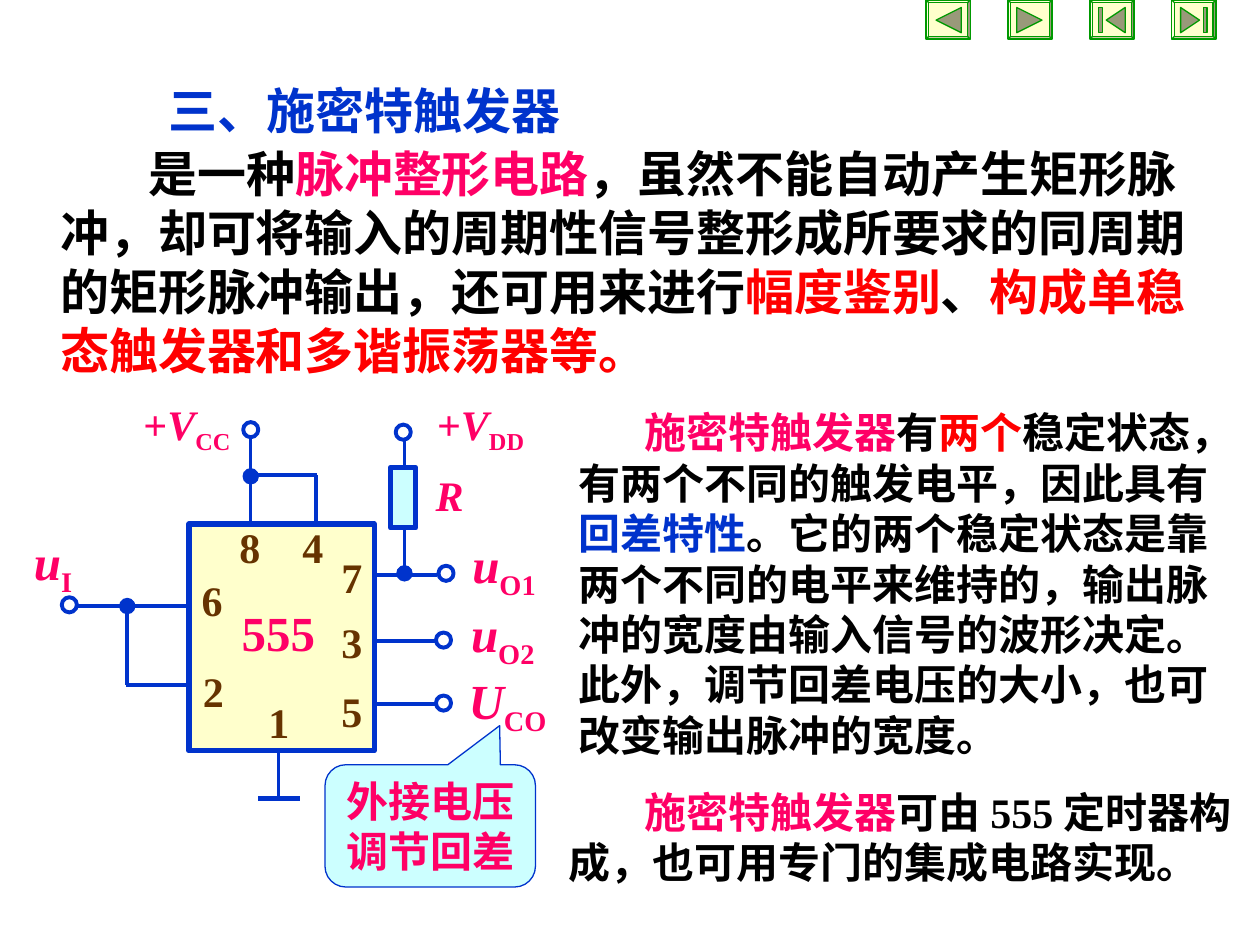
from dataclasses import dataclass

from lxml import etree
from pptx import Presentation
from pptx.dml.color import RGBColor
from pptx.enum.shapes import MSO_CONNECTOR, MSO_SHAPE
from pptx.enum.text import MSO_ANCHOR, PP_ALIGN
from pptx.oxml.ns import qn
from pptx.util import Inches, Pt

STRAIGHT = MSO_CONNECTOR.STRAIGHT
RECT, OVAL, BEVEL = MSO_SHAPE.RECTANGLE, MSO_SHAPE.OVAL, MSO_SHAPE.BEVEL
CALLOUT = MSO_SHAPE.ROUNDED_RECTANGULAR_CALLOUT
LEFT, CENTER = PP_ALIGN.LEFT, PP_ALIGN.CENTER
TOP, MIDDLE = MSO_ANCHOR.TOP, MSO_ANCHOR.MIDDLE


@dataclass(frozen=True)
class Theme:
    font: str = "Times New Roman"
    large: int = 28
    body: int = 24
    black: str = "000000"
    white: str = "FFFFFF"
    blue: str = "0033CC"
    pink: str = "FF0066"
    red: str = "FF0000"
    brown: str = "663300"
    cream: str = "FFFFCC"
    aqua: str = "CCFFFF"
    green: str = "009900"
    icon: str = "99997A"


THEME = Theme()


def write(frame, paragraphs, size=THEME.body, color=THEME.black, indent=0,
          align=LEFT, anchor=TOP, wrap=True, inset=True):
    """Fill a frame; each run is (text, color) or (text, color, 'i' or 'sub')."""
    frame.word_wrap = wrap
    frame.vertical_anchor = anchor
    if not inset:
        frame.margin_left = frame.margin_right = 0
        frame.margin_top = frame.margin_bottom = 0
    for number, runs in enumerate(paragraphs):
        paragraph = frame.add_paragraph() if number else frame.paragraphs[0]
        paragraph.alignment = align
        if indent and number == 0:
            paragraph._p.get_or_add_pPr().set("indent", str(Inches(indent)))
        for words, run_color, *style in runs:
            run = paragraph.add_run()
            run.text = words
            run.font.name = THEME.font
            run.font.size = Pt(size)
            run.font.bold = True
            run.font.italic = "i" in style
            run.font.color.rgb = RGBColor.from_string(run_color or color)
            if "sub" in style:
                run._r.get_or_add_rPr().set("baseline", "-25000")


def add_text(slide, box, paragraphs, **style):
    holder = slide.shapes.add_textbox(*map(Inches, box))
    write(holder.text_frame, paragraphs, **style)


def paint(shape, fill, line, width):
    shape.shadow.inherit = False
    shape.fill.solid()
    shape.fill.fore_color.rgb = RGBColor.from_string(fill)
    shape.line.color.rgb = RGBColor.from_string(line)
    shape.line.width = Pt(width)


def add_shape(slide, kind, box, fill, line=THEME.blue, width=0.75):
    shape = slide.shapes.add_shape(kind, *map(Inches, box))
    paint(shape, fill, line, width)
    return shape


def add_wire(slide, start, end, width=2.25):
    wire = slide.shapes.add_connector(STRAIGHT, *map(Inches, (*start, *end)))
    wire.line.color.rgb = RGBColor.from_string(THEME.blue)
    wire.line.width = Pt(width)
    etree.SubElement(wire._element.spPr, qn("a:effectLst"))


def add_circuit(slide, left, top):
    def at(x, y):
        return left + x, top + y

    output_rows = (1.46, 1.99, 2.49)
    wires = [
        ((1.89, 1.06), (1.89, 0.37), 2), ((2.41, 0.67), (2.41, 1.05), 2),
        ((1.89, 0.67), (2.42, 0.67), 2.25), ((1.95, 3.24), (2.28, 3.24), 3),
        ((2.11, 2.84), (2.11, 3.25), 2), ((0.47, 1.71), (1.42, 1.71), 2.25),
        ((0.91, 1.74), (0.91, 2.34), 2.25), ((0.9, 2.34), (1.4, 2.34), 2.25),
        ((3.11, 0.35), (3.11, 1.46), 2),
    ] + [((2.87, y), (3.37, y), 2.25) for y in output_rows]
    for start, end, width in wires:
        add_wire(slide, at(*start), at(*end), width)

    add_shape(slide, RECT, (*at(1.4, 1.06), 1.47, 1.8), THEME.cream, width=3)
    add_shape(slide, RECT, (*at(3, 0.61), 0.2, 0.48), THEME.aqua, width=3)

    dot = 0.12
    joints = [(0.91, 1.71), (3.11, 1.45), (1.89, 0.68)]
    terminals = [(1.89, 0.31), (3.1, 0.33), (0.45, 1.7),
                 (3.44, 1.45), (3.42, 1.98), (3.42, 2.48)]
    for centers, fill, width in ((joints, THEME.blue, 0.75),
                                 (terminals, THEME.white, 2.25)):
        for x, y in centers:
            add_shape(slide, OVAL, (*at(x - dot / 2, y - dot / 2), dot, dot),
                      fill, width=width)

    pins = {"6": (1.5, 1.46), "2": (1.51, 2.18), "7": (2.61, 1.28),
            "8": (1.8, 1.04), "4": (2.3, 1.04), "1": (2.03, 2.43),
            "5": (2.61, 2.34), "3": (2.61, 1.79)}
    for pin, spot in pins.items():
        add_text(slide, (*at(*spot), 0.17, 0.4), [[(pin, THEME.brown)]],
                 wrap=False, inset=False)
    add_text(slide, (*at(1.76, 1.68), 0.7, 0.47), [[("555", THEME.pink)]],
             size=THEME.large, align=CENTER, inset=False)

    for x, supply in ((0.94, "CC"), (3.27, "DD")):
        add_text(slide, (*at(x, 0.01), 0.89, 0.56),
                 [[("+", None), ("V", None, "i"), (supply, None, "sub")]],
                 color=THEME.pink, wrap=False)
    add_text(slide, (*at(3.26, 0.58), 0.42, 0.5), [[("R", None, "i")]],
             color=THEME.pink, wrap=False)
    signals = [("u", "I", 0.07, 1.07, 0.52), ("u", "O1", 3.55, 1.09, 1.17),
               ("u", "O2", 3.54, 1.64, 1.17), ("U", "CO", 3.52, 2.17, 1.08)]
    for symbol, index, x, y, width in signals:
        add_text(slide, (*at(x, y), width, 0.63),
                 [[(symbol, None, "i"), (index, None, "sub")]],
                 size=THEME.large, color=THEME.pink)


def add_callout(slide, box):
    callout = add_shape(slide, CALLOUT, box, THEME.aqua)
    for number, value in enumerate((0.33, -0.82, 0.17)):
        callout.adjustments[number] = value
    write(callout.text_frame, [[("外接电压调节回差", THEME.pink)]],
          align=CENTER, anchor=MIDDLE)


def add_icon(slide, points):
    start, *rest = [(Inches(x), Inches(y)) for x, y in points]
    builder = slide.shapes.build_freeform(*start, scale=1.0)
    builder.add_line_segments(rest, close=True)
    paint(builder.convert_to_shape(), THEME.icon, THEME.green, 0.75)


def add_navigation(slide, left, top, pitch):
    """Four bevelled buttons: back, forward, first and last."""
    width, height = 0.35, 0.31
    icons = [(False, False), (True, False), (False, True), (True, True)]
    for number, (forward, with_bar) in enumerate(icons):
        x = left + number * pitch
        button = add_shape(slide, BEVEL, (x, top, width, height),
                           THEME.cream, THEME.green)
        button.adjustments[0] = 0.07
        tip, base = (0.13, 0.28) if with_bar else (0.08, 0.28)
        outlines = [[(tip, 0.16), (base, 0.06), (base, 0.26)]]
        if with_bar:
            outlines.append([(0.07, 0.06), (0.1, 0.06), (0.1, 0.26), (0.07, 0.26)])
        for outline in outlines:
            add_icon(slide, [(x + (width - px if forward else px), top + py)
                             for px, py in outline])


def add_introduction(slide, left, top):
    add_text(slide, (left + 0.86, top, 5.03, 0.57),
             [[("三、施密特触发器", THEME.blue)]], size=THEME.large)
    add_text(slide, (left, top + 0.5, 9.33, 1.97), [
        [("是一种", None), ("脉冲整形电路", THEME.pink),
         ("，虽然不能自动产生矩形脉冲，却可将输入的周期性信号整形成所要求的同周期", None)],
        [("的矩形脉冲输出，还可用来进行", None), ("幅度鉴别", THEME.red),
         ("、", None), ("构成单稳态触发器和多谐振荡器等。", THEME.red)],
    ], size=THEME.large, indent=0.7)


def add_explanation(slide, left, top):
    add_text(slide, (left + 0.08, top, 5.52, 2.9), [[
        ("施密特触发器", THEME.pink), ("有", None), ("两个", THEME.red),
        ("稳定状态，有两个不同的触发电平，因此具有", None), ("回差特性", THEME.blue),
        ("。它的两个稳定状态是靠两个不同的电平来维持的，输出脉冲的宽度由输入信号的波形决定。"
         "此外，调节回差电压的大小，也可改变输出脉冲的宽度。", None)]], indent=0.53)
    add_text(slide, (left, top + 3.01, 5.59, 0.9), [[
        ("施密特触发器", THEME.pink),
        ("可由 555 定时器构成，也可用专门的集成电路实现。", None)]], indent=0.61)


def main():
    deck = Presentation()
    deck.slide_width, deck.slide_height = Inches(10), Inches(7.5)
    slide = deck.slides.add_slide(deck.slide_layouts[6])
    add_introduction(slide, 0.38, 0.59)
    add_circuit(slide, 0.1, 3.1)
    add_explanation(slide, 4.41, 3.18)
    add_callout(slide, (2.58, 6.07, 1.67, 0.97))
    add_navigation(slide, 7.35, 0, 0.65)
    deck.save("out.pptx")


if __name__ == "__main__":
    main()
